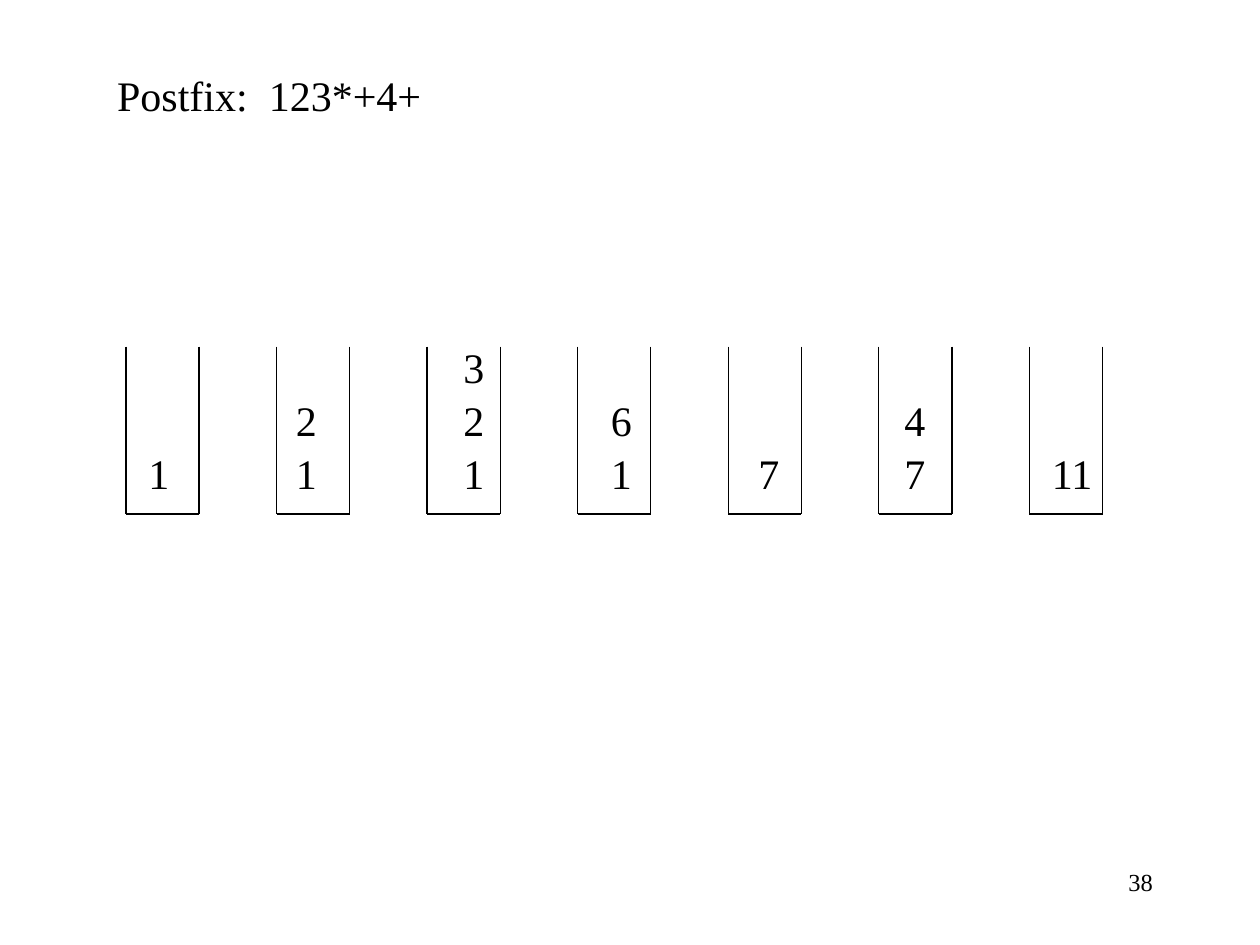
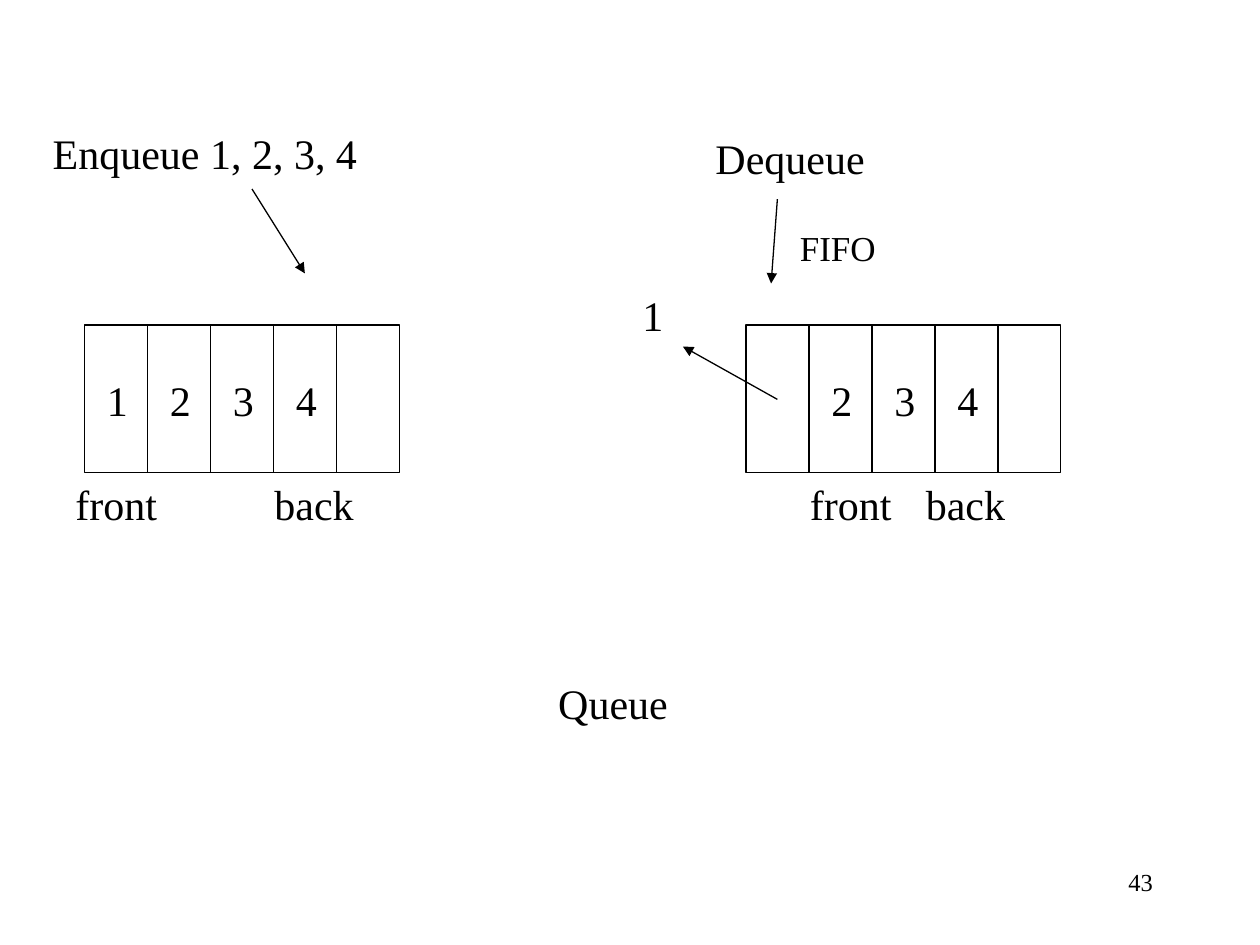
from pptx import Presentation
from pptx import util as u
from pptx.dml.color import RGBColor
from pptx.enum import shapes, text
from pptx.oxml import parse_xml
from pptx.oxml.ns import nsdecls

FONT = "Times New Roman"
INK = "000000"
TITLE_ONLY = 5
LINE_WIDTH = 0.75
BODY_SIZE = 24
BOX_HEIGHT = 0.51

STACK_LEFT, STACK_STEP = 1, 1.195
STACK_TOP, STACK_WIDTH, STACK_HEIGHT = 2.75, 0.58, 1.33
DIGIT_BASE, DIGIT_STEP = 3.5, 0.42
STACKS = [
    (1.08, ["1"]),
    (2.25, ["1", "2"]),
    (3.58, ["1", "2", "3"]),
    (4.75, ["1", "6"]),
    (5.92, ["7"]),
    (7.08, ["7", "4"]),
    (8.25, ["11"]),
]

QUEUE_TOP, QUEUE_HEIGHT, CELL = 2.58, 1.17, 0.5
QUEUE_BOTTOM = QUEUE_TOP + QUEUE_HEIGHT


def color(value):
    """Turn a hex string into a colour."""
    return RGBColor.from_string(value)


def style_text(box, words, size=BODY_SIZE, align=text.PP_ALIGN.LEFT, wrap=False):
    """Write one styled paragraph into a box."""
    frame = box.text_frame
    frame.text = words
    frame.word_wrap = wrap
    frame.auto_size = (text.MSO_AUTO_SIZE.NONE if wrap
                       else text.MSO_AUTO_SIZE.SHAPE_TO_FIT_TEXT)
    frame.vertical_anchor = text.MSO_ANCHOR.TOP
    para = frame.paragraphs[0]
    para.alignment = align
    para.font.name = FONT
    para.font.size = u.Pt(size)
    para.font.color.rgb = color(INK)


def add_label(page, words, left, top, width, height=BOX_HEIGHT, **style):
    """Add a text box with one paragraph."""
    box = page.shapes.add_textbox(*map(u.Inches, (left, top, width, height)))
    style_text(box, words, **style)


def add_number(page, digits, left, top):
    """Add a number in a box as wide as its digits need."""
    add_label(page, digits, left, top, 0.2 + 0.17 * len(digits))


def add_line(parent, start, end, arrow=False):
    """Draw a thin line between two points, with an optional arrowhead."""
    line = parent.shapes.add_connector(
        shapes.MSO_CONNECTOR.STRAIGHT, *map(u.Inches, (*start, *end)))
    line.line.color.rgb = color(INK)
    line.line.width = u.Pt(LINE_WIDTH)
    if arrow:
        line.line._get_or_add_ln().append(
            parse_xml(f'<a:tailEnd {nsdecls("a")} type="triangle"/>'))
    line._element.spPr.append(parse_xml(f'<a:effectLst {nsdecls("a")}/>'))


def add_stack(page, left):
    """Draw an open-topped container as a group of three lines."""
    group = page.shapes.add_group_shape()
    right, bottom = left + STACK_WIDTH, STACK_TOP + STACK_HEIGHT
    for side in (left, right):
        add_line(group, (side, STACK_TOP), (side, bottom))
    add_line(group, (left, bottom), (right, bottom))


def add_queue(page, left, values, front, back):
    """Draw a row of cells with values and the two end labels."""
    frame = page.shapes.add_shape(
        shapes.MSO_SHAPE.RECTANGLE,
        *map(u.Inches, (left, QUEUE_TOP, CELL * len(values), QUEUE_HEIGHT)))
    frame.shadow.inherit = False
    frame.fill.background()
    frame.line.color.rgb = color(INK)
    frame.line.width = u.Pt(LINE_WIDTH)
    for index, value in enumerate(values):
        edge = left + CELL * index
        if index:
            add_line(page, (edge, QUEUE_TOP), (edge, QUEUE_BOTTOM))
        if value:
            add_number(page, value, edge + 0.08, 2.92)
    add_label(page, "front", front, QUEUE_BOTTOM, 0.86)
    add_label(page, "back", back, QUEUE_BOTTOM, 0.84)


def add_page(deck, title, place, number):
    """Add a slide with its title and page number."""
    page = deck.slides.add_slide(deck.slide_layouts[TITLE_ONLY])
    heading = page.shapes.title
    heading.left, heading.top, heading.width, heading.height = map(u.Inches, place)
    style_text(heading, title)
    add_label(page, number, 7.58, 6.83, 1.67, 0.5,
              size=14, align=text.PP_ALIGN.RIGHT, wrap=True)
    return page


def build_postfix(deck):
    """Show the stack after each step of a postfix evaluation."""
    page = add_page(deck, "Postfix:  123*+4+", (0.83, 0.5, 2.64, BOX_HEIGHT), "38")
    for index, (left, digits) in enumerate(STACKS):
        add_stack(page, STACK_LEFT + STACK_STEP * index)
        for level, digit in enumerate(digits):
            add_number(page, digit, left, DIGIT_BASE - DIGIT_STEP * level)


def build_queue(deck):
    """Show a queue after enqueueing and after dequeueing."""
    page = add_page(deck, "Queue", (4.33, 5.33, 1.07, BOX_HEIGHT), "43")
    add_label(page, "Enqueue 1, 2, 3, 4", 0.32, 0.96, 2.64)
    add_line(page, (2, 1.5), (2.42, 2.17), arrow=True)
    add_queue(page, 0.67, ["1", "2", "3", "4", ""], 0.5, 2.08)
    add_label(page, "Dequeue", 5.58, 1, 1.39)
    add_line(page, (6.17, 1.58), (6.12, 2.25), arrow=True)
    add_label(page, "FIFO", 6.25, 1.75, 0.8, 0.43, size=20)
    add_queue(page, 5.92, ["", "2", "3", "4", ""], 6.33, 7.25)
    add_number(page, "1", 5, 2.25)
    add_line(page, (6.17, 3.17), (5.42, 2.75), arrow=True)


def main():
    """Build the deck and save it."""
    deck = Presentation()
    deck.slide_width, deck.slide_height = u.Inches(10), u.Inches(7.5)
    build_postfix(deck)
    build_queue(deck)
    deck.save("out.pptx")


main()
